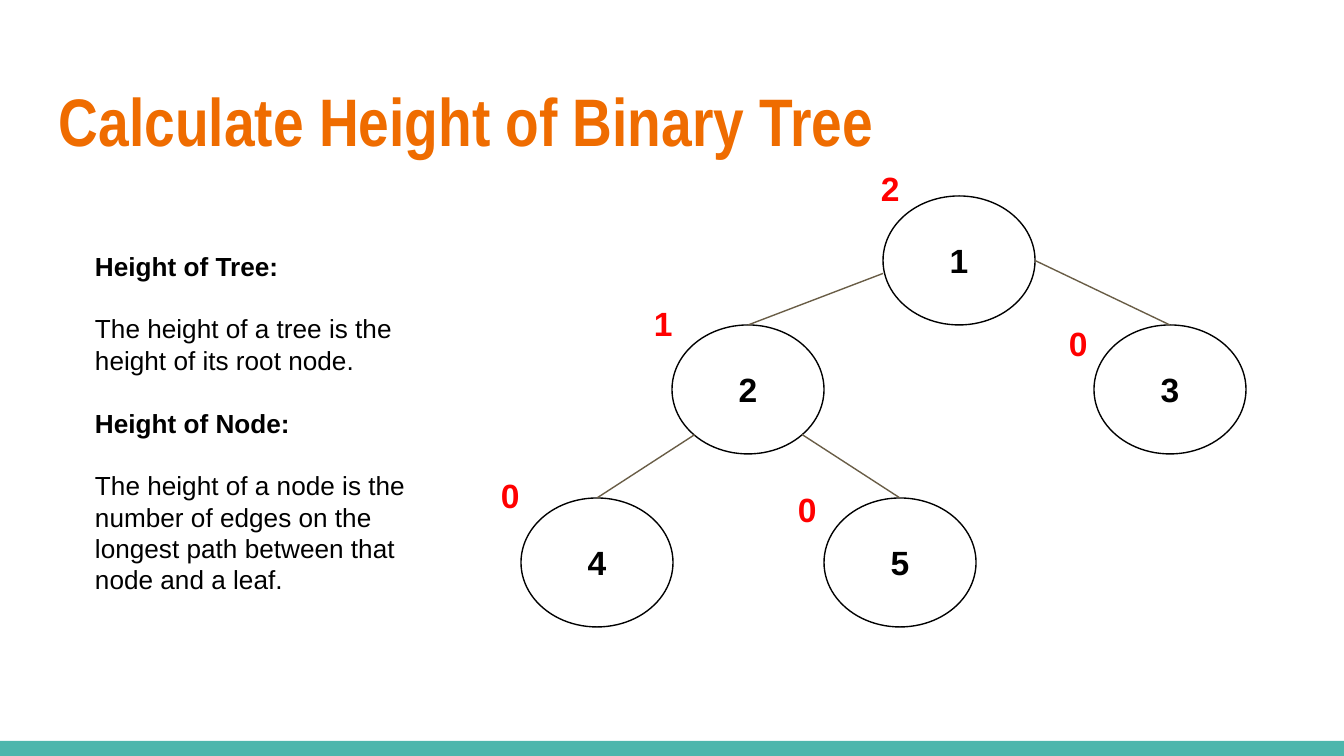
from lxml import etree
from pptx import Presentation
from pptx.dml.color import RGBColor
from pptx.enum.shapes import MSO_CONNECTOR, MSO_SHAPE
from pptx.enum.text import MSO_ANCHOR, PP_ALIGN
from pptx.oxml.ns import qn
from pptx.util import Pt

LEFT, CENTER = PP_ALIGN.LEFT, PP_ALIGN.CENTER
TOP, MIDDLE = MSO_ANCHOR.TOP, MSO_ANCHOR.MIDDLE
OVAL, RECTANGLE = MSO_SHAPE.OVAL, MSO_SHAPE.RECTANGLE
STRAIGHT = MSO_CONNECTOR.STRAIGHT

COLORS = {
    "title": "EF6C00", "text": "000000", "height": "FF0000",
    "node": "FFFFFF", "outline": "000000", "edge": "695D46", "band": "4DB6AC",
}

TITLE = "Calculate Height of Binary Tree"
# (text, bold)
DEFINITIONS = [
    ("Height of Tree:", True),
    ("The height of a tree is the height of its root node.", False),
    ("Height of Node:", True),
    ("The height of a node is the number of edges on the longest path "
     "between that node and a leaf.", False),
]
# node: (center x, top)
NODES = {
    "1": (959, 196),
    "3": (1170, 325),
    "2": (748, 325),
    "4": (597, 498),
    "5": (900, 498),
}
# (parent, child, start of the edge relative to the parent's center)
EDGES = [
    ("1", "2", (-76, 13)),
    ("2", "4", (-53, 45)),
    ("1", "3", (76, 0)),
    ("2", "5", (54, 45)),
]
# (height, left, top)
HEIGHTS = [
    ("2", 868, 155),
    ("0", 1056, 310),
    ("1", 641, 290),
    ("0", 488, 462),
    ("0", 785, 476),
]

SLIDE_WIDTH, SLIDE_HEIGHT = 1344, 756
NODE_WIDTH, NODE_HEIGHT = 152, 129
BAND_HEIGHT = 15
INSET = 13
EMU_PER_PX = 914400 / 134.4


def px(value):
    return round(value * EMU_PER_PX)


def color(name):
    return RGBColor.from_string(COLORS[name])


def write(shape, lines, size=18, font="Arial", ink="text", align=LEFT,
          anchor=TOP, gap=0):
    """Fill a shape with (text, bold) paragraphs, gap points apart."""
    frame = shape.text_frame
    frame.word_wrap = True
    frame.vertical_anchor = anchor
    frame.margin_left = frame.margin_right = px(INSET)
    frame.margin_top = frame.margin_bottom = px(INSET)
    for index, (text, bold) in enumerate(lines):
        paragraph = frame.add_paragraph() if index else frame.paragraphs[0]
        paragraph.alignment = align
        paragraph.space_before = Pt(gap if index else 0)
        run = paragraph.add_run()
        run.text = text
        run.font.name = font
        run.font.size = Pt(size)
        run.font.bold = bold
        run.font.color.rgb = color(ink)


def add_text(slide, box, lines, **text_format):
    write(slide.shapes.add_textbox(*map(px, box)), lines, **text_format)


def add_filled(slide, kind, box, fill, outline=None):
    shape = slide.shapes.add_shape(kind, *map(px, box))
    shape.shadow.inherit = False
    shape.fill.solid()
    shape.fill.fore_color.rgb = color(fill)
    if outline:
        shape.line.color.rgb = color(outline)
        shape.line.width = Pt(0.75)
    else:
        shape.line.fill.background()
    return shape


def add_edge(slide, start, end):
    edge = slide.shapes.add_connector(STRAIGHT, *map(px, start + end))
    edge.line.color.rgb = color("edge")
    edge.line.width = Pt(0.75)
    etree.SubElement(edge._element.spPr, qn("a:effectLst"))


def main():
    presentation = Presentation()
    presentation.slide_width = px(SLIDE_WIDTH)
    presentation.slide_height = px(SLIDE_HEIGHT)
    slide = presentation.slides.add_slide(presentation.slide_layouts[6])

    band = (0, SLIDE_HEIGHT - BAND_HEIGHT, SLIDE_WIDTH, BAND_HEIGHT)
    add_filled(slide, RECTANGLE, band, "band")
    add_text(slide, (46, 66, 1252, 103), [(TITLE, True)],
             size=36, font="Arial Narrow", ink="title")

    for name, (center, top) in NODES.items():
        box = (center - NODE_WIDTH / 2, top, NODE_WIDTH, NODE_HEIGHT)
        node = add_filled(slide, OVAL, box, "node", "outline")
        write(node, [(name, True)], align=CENTER, anchor=MIDDLE)

    for parent, child, (across, down) in EDGES:
        center, top = NODES[parent]
        start = (center + across, top + NODE_HEIGHT / 2 + down)
        add_edge(slide, start, NODES[child])

    add_text(slide, (82, 237, 358, 448), DEFINITIONS, size=14, gap=16.8)
    for height, left, top in HEIGHTS:
        add_text(slide, (left, top, 62, 43), [(height, True)], ink="height")

    presentation.save("out.pptx")


if __name__ == "__main__":
    main()
